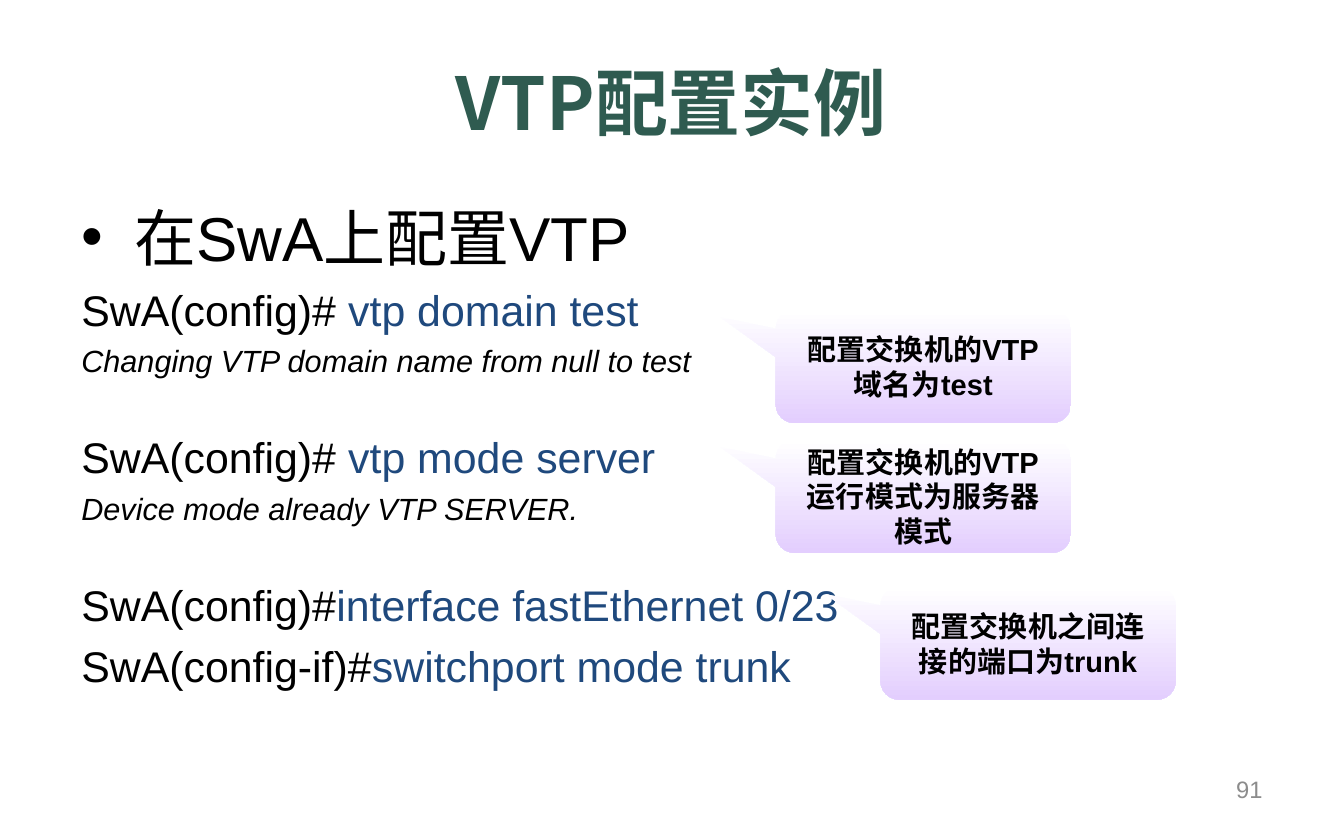
"""Build the slide on setting up VTP on a switch."""
from dataclasses import dataclass
from pptx import Presentation
from pptx import util as u
from pptx.dml import color as dml
from pptx.enum import shapes, text
from pptx.oxml import xmlchemy, ns
from lxml import etree

SANS, CJK = "Arial", "Noto Sans CJK SC"
BLACK, BLUE, GREEN, GREY = "000000", "1F497D", "2F5B50", "8C8C8C"
WHITE, LILAC = "FFFFFF", "E3CEFE"
NOTE_W, NOTE_H = 162, 62


@dataclass
class Line:
    words: str
    size: float
    before: float
    code: str = ""
    slant: bool = False


@dataclass
class Note:
    left: float
    top: float
    words: str


def prompt(words: str, code: str, before: float = 5.4) -> Line:
    return Line(words, 23.5, before, code)


def reply(words: str) -> Line:
    return Line(words, 16.8, 3.9, slant=True)


LINES = [
    Line("在SwA上配置VTP", 34, 5),
    prompt("SwA(config)# ", "vtp domain test"),
    reply("Changing VTP domain name from null to test"),
    prompt("SwA(config)# ", "vtp mode server", 28.6),
    reply("Device mode already VTP SERVER."),
    prompt("SwA(config)#", "interface fastEthernet 0/23", 28.6),
    prompt("SwA(config-if)#", "switchport mode trunk"),
]
NOTES = [
    Note(425.5, 170, "配置交换机的VTP域名为test"),
    Note(425.5, 241.2, "配置交换机的VTP运行模式为服务器模式"),
    Note(483, 321.8, "配置交换机之间连接的端口为trunk"),
]


def paint(hue, code: str) -> None:
    hue.rgb = dml.RGBColor.from_string(code)


def style(run, size: float, code: str, bold: bool = False,
          slant: bool = False, face: str = SANS) -> None:
    font = run.font
    font.size, font.name = u.Pt(size), face
    font.bold, font.italic = bold, slant
    paint(font.color, code)
    east = etree.SubElement(run._r.get_or_add_rPr(), ns.qn("a:ea"))
    east.set("typeface", CJK)


def place(shape, left: float, top: float, width: float, height: float) -> None:
    shape.left, shape.top = u.Pt(left), u.Pt(top)
    shape.width, shape.height = u.Pt(width), u.Pt(height)


def inset(frame, anchor=text.MSO_ANCHOR.MIDDLE) -> None:
    frame.word_wrap = True
    frame.vertical_anchor = anchor
    frame.margin_left = frame.margin_right = u.Pt(7.9)
    frame.margin_top = frame.margin_bottom = u.Pt(3.6)


def write(frame, words: str, align):
    frame.text = words
    para = frame.paragraphs[0]
    para.alignment = align
    return para.runs[0]


def add_box(slide, left: float, top: float, width: float, height: float):
    return slide.shapes.add_textbox(
        u.Pt(left), u.Pt(top), u.Pt(width), u.Pt(height)).text_frame


def add_dot(para) -> None:
    props = para._p.get_or_add_pPr()
    props.set("marL", str(u.Pt(29)))
    props.set("indent", str(-u.Pt(29)))
    etree.SubElement(props, ns.qn("a:buFont")).set("typeface", SANS)
    etree.SubElement(props, ns.qn("a:buChar")).set("char", "•")


def add_lines(slide, lines: list[Line]) -> None:
    frame = add_box(slide, 36.7, 105.8, 663, 299.5)
    inset(frame, text.MSO_ANCHOR.TOP)
    for num, line in enumerate(lines):
        para = frame.add_paragraph() if num else frame.paragraphs[0]
        para.text = line.words
        para.space_before = u.Pt(line.before)
        style(para.runs[0], line.size, BLACK, slant=line.slant)
        if line.code:
            run = para.add_run()
            run.text = line.code
            style(run, line.size, BLUE)
    add_dot(frame.paragraphs[0])


def add_note(slide, note: Note) -> None:
    shape = slide.shapes.add_shape(
        shapes.MSO_SHAPE.ROUNDED_RECTANGULAR_CALLOUT,
        u.Pt(note.left), u.Pt(note.top), u.Pt(NOTE_W), u.Pt(NOTE_H))
    for num, value in enumerate((-0.687, -0.435, 0.167)):
        shape.adjustments[num] = value
    shape.shadow.inherit = False
    shape.line.fill.background()
    shape.fill.gradient()
    shape.fill.gradient_angle = 270
    for stop, code, spot in zip(shape.fill.gradient_stops, (WHITE, LILAC), (0, 1)):
        paint(stop.color, code)
        stop.position = spot
    frame = shape.text_frame
    frame.word_wrap = True
    frame.vertical_anchor = text.MSO_ANCHOR.MIDDLE
    style(write(frame, note.words, text.PP_ALIGN.CENTER), 15.9, BLACK, bold=True)


def main() -> None:
    deck = Presentation()
    deck.slide_width, deck.slide_height = u.Pt(737.3), u.Pt(453.6)
    slide = deck.slides.add_slide(deck.slide_layouts[5])
    title = slide.shapes.title
    place(title, 36.7, 18, 663, 75.6)
    inset(title.text_frame)
    run = write(title.text_frame, "VTP配置实例", text.PP_ALIGN.CENTER)
    style(run, 40, GREEN, bold=True, face=CJK)
    add_lines(slide, LINES)
    for note in NOTES:
        add_note(slide, note)
    frame = add_box(slide, 528.5, 420.5, 172, 24.5)
    inset(frame)
    style(write(frame, "91", text.PP_ALIGN.RIGHT), 13, GREY)
    deck.save("out.pptx")


if __name__ == "__main__":
    main()
